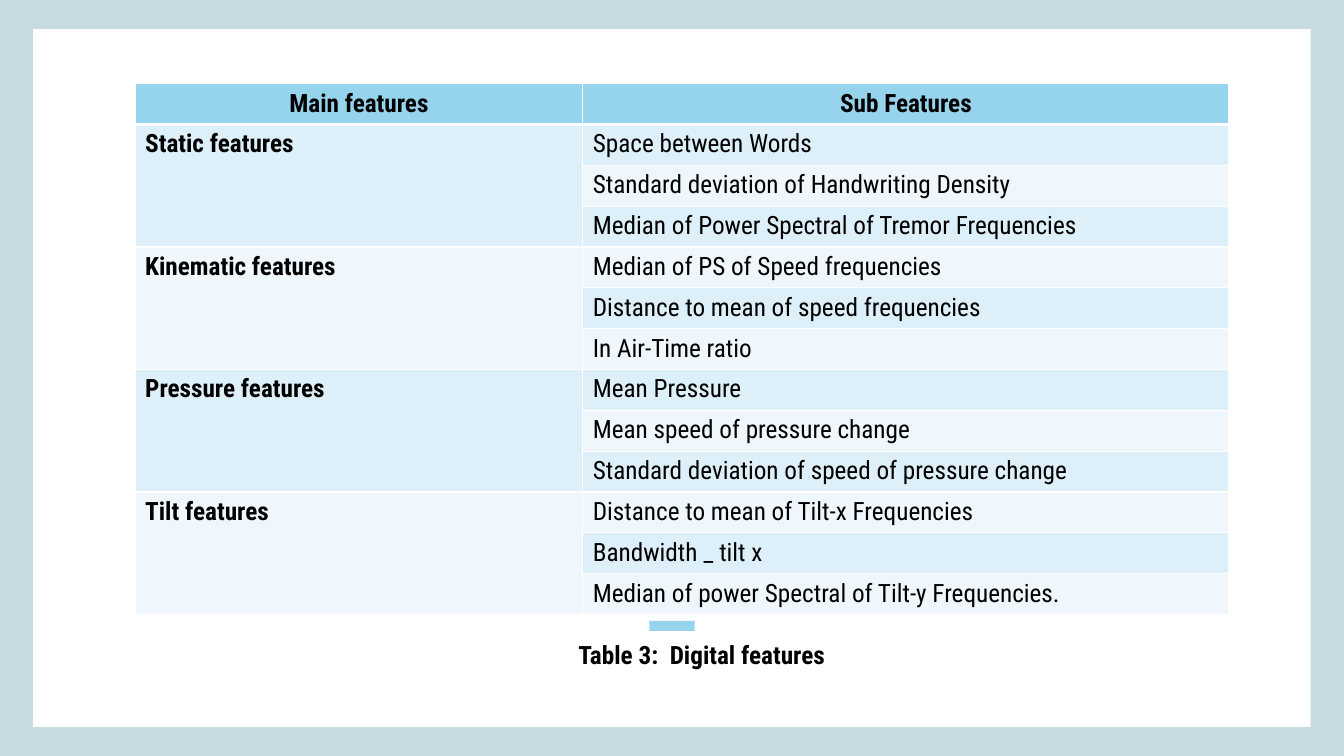
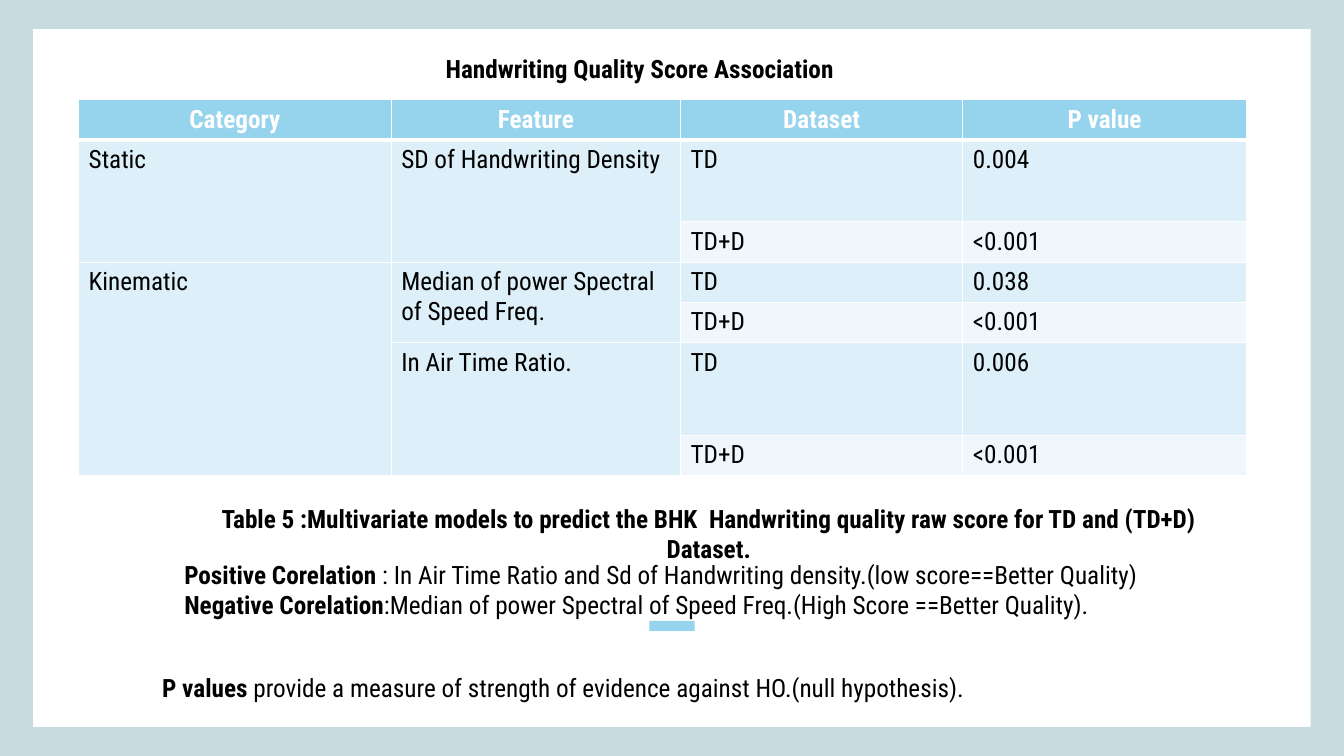
from lxml import etree
from pptx import Presentation, util as u
from pptx.dml.color import RGBColor
from pptx.enum import shapes, text
from pptx.oxml.ns import qn

COLORS = {
    "frame": "C7DBE1",
    "panel": "FFFFFF",
    "accent": "96D3ED",
    "band_dark": "DDEFF8",
    "band_light": "EFF7FC",
    "ink": "000000",
    "white": "FFFFFF",
}
FONT = "Roboto Condensed"
SIZE = 18
CENTER = text.PP_ALIGN.CENTER
LEFT = text.PP_ALIGN.LEFT


def rgb(name):
    return RGBColor.from_string(COLORS[name])


class Deck:
    """Holds the shared style and the page being filled."""

    def __init__(self):
        self.deck = Presentation()
        self.deck.slide_width = u.Inches(13.33)
        self.deck.slide_height = u.Inches(7.5)
        backdrop = self.deck.slide_master.background.fill
        backdrop.solid()
        backdrop.fore_color.rgb = rgb("frame")
        self.page = None

    def new_page(self):
        self.page = self.deck.slides.add_slide(self.deck.slide_layouts[6])
        self.block(0.33, 0.29, 12.67, 6.92, "panel")
        self.block(6.44, 6.16, 0.45, 0.1, "accent")

    def block(self, left, top, width, height, color):
        box = self.page.shapes.add_shape(
            shapes.MSO_SHAPE.RECTANGLE,
            u.Inches(left), u.Inches(top), u.Inches(width), u.Inches(height))
        box.shadow.inherit = False
        box.fill.solid()
        box.fill.fore_color.rgb = rgb(color)
        box.line.fill.background()

    def add_spans(self, para, spans, align=LEFT, color="ink"):
        """Fill a paragraph from (words, bold) pairs."""
        para.alignment = align
        for words, bold in spans:
            span = para.add_run()
            span.text = words
            span.font.name = FONT
            span.font.size = u.Pt(SIZE)
            span.font.bold = bold
            span.font.color.rgb = rgb(color)

    def textbox(self, left, top, width, height, paragraphs, align=LEFT):
        box = self.page.shapes.add_textbox(
            u.Inches(left), u.Inches(top), u.Inches(width), u.Inches(height))
        frame = box.text_frame
        frame.word_wrap = True
        frame.auto_size = text.MSO_AUTO_SIZE.SHAPE_TO_FIT_TEXT
        for index, spans in enumerate(paragraphs):
            para = frame.add_paragraph() if index else frame.paragraphs[0]
            self.add_spans(para, spans, align)

    def caption(self, left, top, width, words):
        self.textbox(left, top, width, 0.4, [[(words, True)]], CENTER)

    def borders(self, cell, row):
        """White grid, with a heavier rule under the header row."""
        widths = {"a:lnL": 1, "a:lnR": 1,
                  "a:lnT": 3 if row == 1 else 1,
                  "a:lnB": 3 if row == 0 else 1}
        props = cell._tc.get_or_add_tcPr()
        for index, (tag, width) in enumerate(widths.items()):
            line = etree.Element(qn(tag), w=str(u.Pt(width)))
            fill = etree.SubElement(line, qn("a:solidFill"))
            etree.SubElement(fill, qn("a:srgbClr"), val=COLORS["white"])
            props.insert(index, line)

    def table(self, left, top, widths, heights, rows,
              header_color="ink", bold_first=False):
        """Draw rows of words; None continues the cell above."""
        grid = self.page.shapes.add_table(
            len(rows), len(widths), u.Inches(left), u.Inches(top),
            u.Inches(sum(widths)), u.Inches(sum(heights))).table
        grid.horz_banding = False
        for column, width in zip(grid.columns, widths):
            column.width = u.Inches(width)
        for line, height in zip(grid.rows, heights):
            line.height = u.Inches(height)

        for r, row in enumerate(rows):
            band = "band_dark" if r % 2 else "band_light"
            for c, words in enumerate(row):
                cell = grid.cell(r, c)
                cell.fill.solid()
                cell.fill.fore_color.rgb = rgb(band if r else "accent")
                self.borders(cell, r)
                if words is None:
                    continue
                bold = r == 0 or (bold_first and c == 0)
                self.add_spans(cell.text_frame.paragraphs[0], [(words, bold)],
                               LEFT if r else CENTER,
                               "ink" if r else header_color)

        # Merge each cell with the continuations below it
        for c in range(len(widths)):
            for r, row in enumerate(rows):
                last = r
                while last + 1 < len(rows) and rows[last + 1][c] is None:
                    last += 1
                if row[c] is not None and last > r:
                    grid.cell(r, c).merge(grid.cell(last, c))


def digital_features(deck):
    deck.new_page()
    groups = {
        "Static features": [
            "Space between Words",
            "Standard deviation of Handwriting Density",
            "Median of Power Spectral of Tremor Frequencies"],
        "Kinematic features": [
            "Median of PS of Speed frequencies",
            "Distance to mean of speed frequencies",
            "In Air-Time ratio"],
        "Pressure features": [
            "Mean Pressure",
            "Mean speed of pressure change",
            "Standard deviation of speed of pressure change"],
        "Tilt features": [
            "Distance to mean of Tilt-x Frequencies",
            "Bandwidth _ tilt x",
            "Median of power Spectral of Tilt-y Frequencies."],
    }
    rows = [("Main features", "Sub Features")]
    for main_feature, subs in groups.items():
        rows += [(None if i else main_feature, sub)
                 for i, sub in enumerate(subs)]
    deck.table(1.34, 0.83, [4.44, 6.41], [5.27 / len(rows)] * len(rows), rows,
               bold_first=True)
    deck.caption(1.66, 6.29, 10.6, "Table 3:  Digital features")


def quality_score(deck):
    deck.new_page()
    # Each feature has one row per dataset
    features = [
        ("Static", "SD of Handwriting Density", "0.004"),
        ("Kinematic", "Median of power Spectral of Speed Freq.", "0.038"),
        (None, "In Air Time Ratio.", "0.006"),
    ]
    rows = [("Category", "Feature", "Dataset", "P value")]
    for category, feature, p_value in features:
        rows += [(category, feature, "TD", p_value),
                 (None, None, "TD+D", "<0.001")]
    deck.table(0.78, 0.99, [3.1, 2.87, 2.8, 2.81],
               [0.4, 0.81, 0.4, 0.4, 0.4, 0.92, 0.4], rows,
               header_color="white")

    # Heading, caption and reading notes
    deck.caption(1.61, 0.48, 9.47, "Handwriting Quality Score Association")
    deck.caption(1.86, 4.94, 10.34,
                 "Table 5 :Multivariate models to predict the BHK  Handwriting "
                 "quality raw score for TD and (TD+D) Dataset.")
    deck.textbox(1.73, 5.5, 10.96, 1.01, [
        [("Positive Corelation ", True),
         (": In Air Time Ratio and Sd of Handwriting density."
          "(low score==Better Quality)", False)],
        [("Negative Corelation", True),
         (":Median of power Spectral of Speed Freq."
          "(High Score ==Better Quality).", False)],
    ])
    deck.textbox(1.51, 6.62, 8.83, 0.4, [
        [("P values ", True),
         ("provide a measure of strength of evidence against HO."
          "(null hypothesis).", False)],
    ])


def main():
    deck = Deck()
    digital_features(deck)
    quality_score(deck)
    deck.deck.save("out.pptx")


if __name__ == "__main__":
    main()
